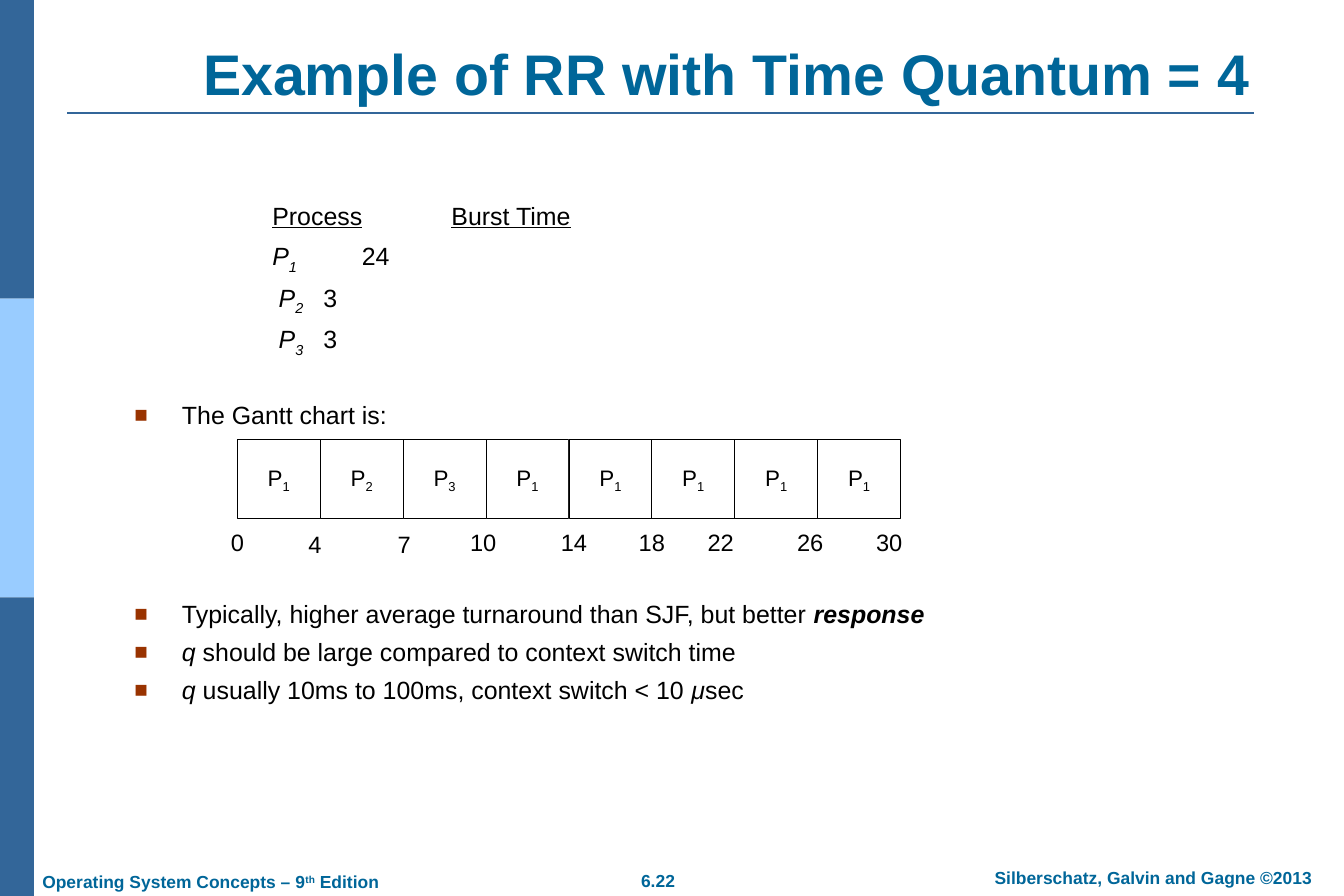
from dataclasses import dataclass, field
from typing import Any, NamedTuple

from lxml.etree import SubElement
from pptx import Presentation
from pptx.dml.color import RGBColor
from pptx.enum.shapes import MSO_CONNECTOR, MSO_SHAPE
from pptx.enum.text import MSO_ANCHOR, MSO_AUTO_SIZE, PP_ALIGN
from pptx.oxml.ns import qn
from pptx.util import Cm, Pt


@dataclass(frozen=True)
class Theme:
    font: str = "Arial"
    heading: RGBColor = RGBColor(0x00, 0x66, 0x99)
    dark: RGBColor = RGBColor(0x33, 0x66, 0x99)
    light: RGBColor = RGBColor(0x99, 0xCC, 0xFF)
    ink: RGBColor = RGBColor(0, 0, 0)
    paper: RGBColor = RGBColor(0xFF, 0xFF, 0xFF)
    bullet: str = "993300"
    title_size: Pt = Pt(46)
    body_size: Pt = Pt(20)
    time_size: Pt = Pt(19)
    cell_size: Pt = Pt(18)
    footer_size: Pt = Pt(14)
    space_before: Pt = Pt(8.8)


THEME = Theme()
SLIDE_WIDTH, SLIDE_HEIGHT = 38.1, 25.4
BODY_LEFT = 3.45
HANGING = 1.35


class Span(NamedTuple):
    text: str
    format: dict[str, Any] = {}
    baseline: int = 0


@dataclass(frozen=True)
class Line:
    spans: list[Span]
    bullet: bool = False
    indent: float = 0
    tab: float = 0


@dataclass(frozen=True)
class Block:
    left: float
    top: float
    width: float
    height: float
    lines: list[Line]
    size: Pt
    align: PP_ALIGN = PP_ALIGN.LEFT
    line_spacing: float = 1.0
    anchor: MSO_ANCHOR = MSO_ANCHOR.TOP
    format: dict[str, Any] = field(default_factory=dict)
    color: RGBColor = THEME.ink


class TimeMark(NamedTuple):
    time: int
    center: float
    top: float = 14.83


ITALIC = {"italic": True}
UNDERLINE = {"underline": True}
FOOTER = {"size": THEME.footer_size, "color": THEME.heading, "format": {"bold": True}}


def process(number: int, burst: int, indent: float, tab: float) -> Line:
    spans = [Span("P", ITALIC), Span(str(number), ITALIC, -25), Span(f"\t{burst}")]
    return Line(spans, indent=indent, tab=tab)


PROCESSES = [
    Line([Span("Process", UNDERLINE), Span("\t"), Span("Burst Time", UNDERLINE)], tab=5.08),
    process(1, 24, 0, 2.54),
    process(2, 3, 0.18, 2.65),
    process(3, 3, 0.18, 2.54),
]
GANTT_INTRO = [Line([Span("The Gantt chart is:")], bullet=True)]
REMARKS = [
    Line([Span("Typically, higher average turnaround than SJF, but better "),
          Span("response", {"bold": True, "italic": True})], bullet=True),
    Line([Span("q", ITALIC), Span(" should be large compared to context switch time")],
         bullet=True),
    Line([Span("q", ITALIC), Span(" usually 10ms to 100ms, context switch < 10 "),
          Span("μ", ITALIC), Span("sec")], bullet=True),
]
BLOCKS = [
    Block(7.36, 5.59, 15, 5, PROCESSES, THEME.body_size, line_spacing=0.9),
    Block(BODY_LEFT, 11.25, 15, 1.1, GANTT_INTRO, THEME.body_size, line_spacing=0.9),
    Block(BODY_LEFT, 16.89, 30.63, 3.5, REMARKS, THEME.body_size, line_spacing=0.9),
    Block(0.84, 24.51, 11, 0.97, [Line([Span("Operating System Concepts – 9"),
                                       Span("th", baseline=30), Span(" Edition")])], **FOOTER),
    Block(16.89, 24.49, 3.53, 0.97, [Line([Span("6.22")])], align=PP_ALIGN.CENTER, **FOOTER),
    Block(27.05, 24.41, 11.3, 0.97, [Line([Span("Silberschatz, Galvin and Gagne ©2013")])],
          align=PP_ALIGN.CENTER, **FOOTER),
]
SCHEDULE = [1, 2, 3, 1, 1, 1, 1, 1]
GANTT_LEFT, GANTT_TOP, CELL_WIDTH, CELL_HEIGHT = 6.73, 12.45, 2.35, 2.26
TIME_MARKS = [
    TimeMark(0, 6.73), TimeMark(4, 8.93, 14.88), TimeMark(7, 11.46, 14.88),
    TimeMark(10, 13.7), TimeMark(14, 16.27), TimeMark(18, 18.48),
    TimeMark(22, 20.43), TimeMark(26, 22.97), TimeMark(30, 25.21),
]


def set_indents(paragraph, line: Line) -> None:
    """Give a paragraph its indent, square bullet and tab stop."""
    properties = paragraph._p.get_or_add_pPr()
    if line.bullet:
        properties.set("marL", str(Cm(HANGING)))
        properties.set("indent", str(-Cm(HANGING)))
        color = SubElement(properties, qn("a:buClr"))
        SubElement(color, qn("a:srgbClr"), val=THEME.bullet)
        SubElement(properties, qn("a:buSzPct"), val="90000")
        SubElement(properties, qn("a:buFont"), typeface=THEME.font)
        SubElement(properties, qn("a:buChar"), char="■")
    elif line.indent:
        properties.set("marL", str(Cm(line.indent)))
        properties.set("indent", "0")
    if line.tab:
        tabs = SubElement(properties, qn("a:tabLst"))
        SubElement(tabs, qn("a:tab"), pos=str(Cm(line.tab)), algn="l")


def write_text(frame, block: Block) -> None:
    frame_format = {
        "word_wrap": True, "auto_size": MSO_AUTO_SIZE.NONE, "vertical_anchor": block.anchor,
        "margin_left": Cm(0.36), "margin_right": Cm(0.36),
        "margin_top": Cm(0.18), "margin_bottom": Cm(0.18),
    }
    for name, value in frame_format.items():
        setattr(frame, name, value)
    for index, line in enumerate(block.lines):
        paragraph = frame.add_paragraph() if index else frame.paragraphs[0]
        set_indents(paragraph, line)
        paragraph.alignment = block.align
        paragraph.line_spacing = block.line_spacing
        paragraph.space_before = THEME.space_before if index else Pt(0)
        for span in line.spans:
            run = paragraph.add_run()
            run.text = span.text
            font_format = {"name": THEME.font, "size": block.size, **block.format, **span.format}
            for name, value in font_format.items():
                setattr(run.font, name, value)
            run.font.color.rgb = block.color
            if span.baseline:
                run._r.get_or_add_rPr().set("baseline", str(span.baseline * 1000))


def bounds(block: Block) -> list[Cm]:
    return [Cm(length) for length in (block.left, block.top, block.width, block.height)]


def add_block(slide, block: Block) -> None:
    write_text(slide.shapes.add_textbox(*bounds(block)).text_frame, block)


def add_rectangle(slide, left: float, top: float, width: float, height: float, fill: RGBColor):
    rectangle = slide.shapes.add_shape(
        MSO_SHAPE.RECTANGLE, Cm(left), Cm(top), Cm(width), Cm(height))
    rectangle.shadow.inherit = False
    rectangle.fill.solid()
    rectangle.fill.fore_color.rgb = fill
    rectangle.line.fill.background()
    return rectangle


def add_frame(slide) -> None:
    """Draw the side band and the rule under the title."""
    band_height = SLIDE_HEIGHT / 3
    for index, fill in enumerate((THEME.dark, THEME.light, THEME.dark)):
        add_rectangle(slide, 0, index * band_height, 0.96, band_height, fill)
    rule = slide.shapes.add_connector(
        MSO_CONNECTOR.STRAIGHT, Cm(1.9), Cm(3.2), Cm(35.56), Cm(3.2))
    rule.line.color.rgb = THEME.dark
    rule.line.width = Pt(1.5)
    SubElement(rule._element.spPr, qn("a:effectLst"))


def add_title(slide) -> None:
    heading = Block(3.81, 0.08, 33.55, 3.12, [Line([Span("Example of RR with Time Quantum = 4")])],
                    THEME.title_size, PP_ALIGN.CENTER, anchor=MSO_ANCHOR.BOTTOM,
                    format={"bold": True}, color=THEME.heading)
    title = slide.shapes.title
    title.left, title.top, title.width, title.height = bounds(heading)
    write_text(title.text_frame, heading)


def add_gantt(slide) -> None:
    for index, number in enumerate(SCHEDULE):
        cell = Block(GANTT_LEFT + index * CELL_WIDTH, GANTT_TOP, CELL_WIDTH, CELL_HEIGHT,
                     [Line([Span("P"), Span(str(number), baseline=-25)])],
                     THEME.cell_size, PP_ALIGN.CENTER, anchor=MSO_ANCHOR.MIDDLE)
        slot = add_rectangle(slide, cell.left, cell.top, cell.width, cell.height, THEME.paper)
        slot.line.color.rgb = THEME.ink
        slot.line.width = Pt(0.75)
        write_text(slot.text_frame, cell)
    mark_width = 1.8
    for mark in TIME_MARKS:
        add_block(slide, Block(mark.center - mark_width / 2, mark.top, mark_width, 1.07,
                               [Line([Span(str(mark.time))])], THEME.time_size,
                               PP_ALIGN.CENTER, anchor=MSO_ANCHOR.MIDDLE))


def main() -> None:
    deck = Presentation()
    deck.slide_width, deck.slide_height = Cm(SLIDE_WIDTH), Cm(SLIDE_HEIGHT)
    slide = deck.slides.add_slide(deck.slide_layouts[5])
    add_frame(slide)
    add_title(slide)
    for block in BLOCKS:
        add_block(slide, block)
    add_gantt(slide)
    deck.save("out.pptx")


if __name__ == "__main__":
    main()
